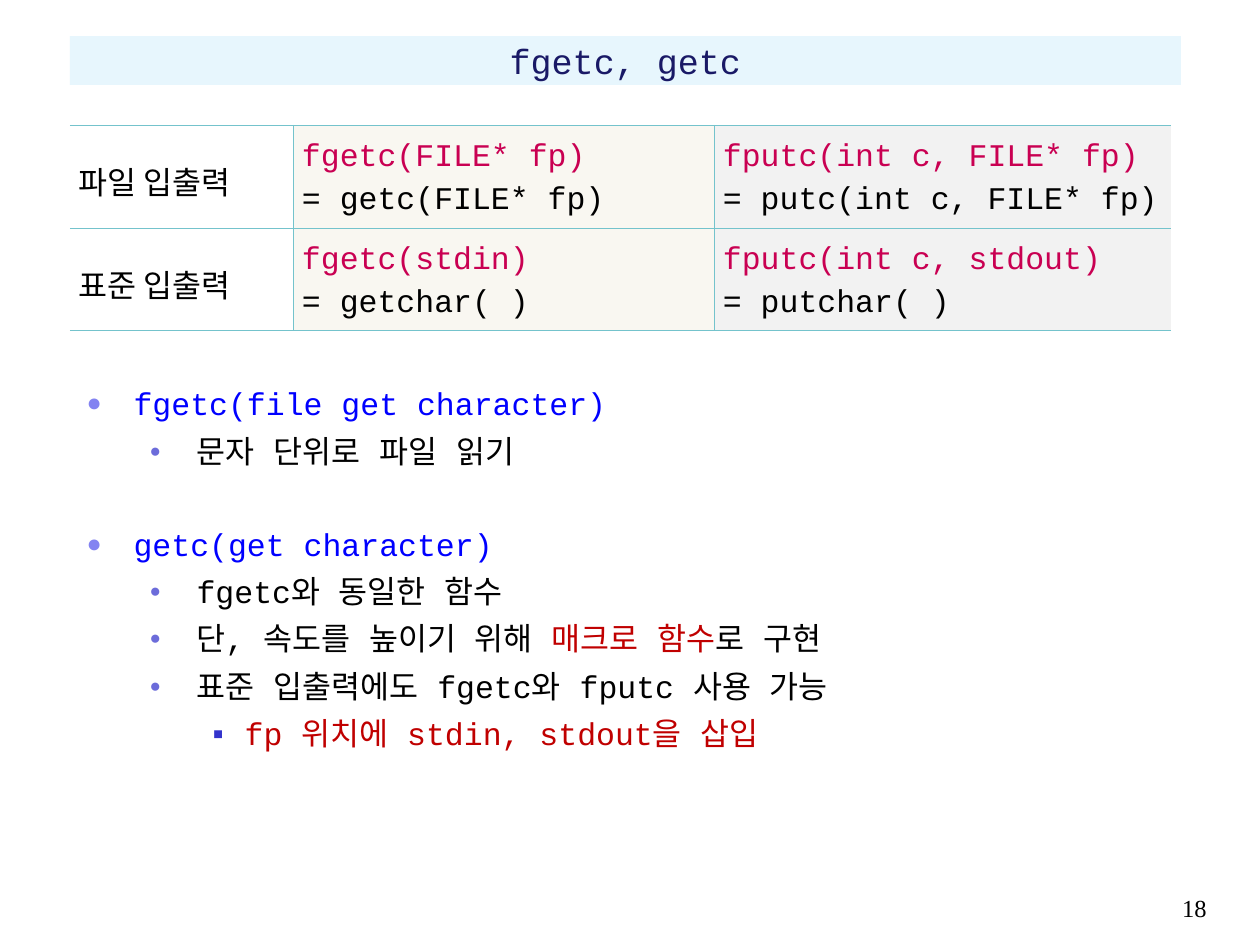
from dataclasses import dataclass

from lxml.etree import SubElement
from pptx import Presentation
from pptx.dml.color import RGBColor
from pptx.enum.text import MSO_ANCHOR, MSO_AUTO_SIZE, PP_ALIGN
from pptx.oxml.ns import qn
from pptx.util import Pt

EMU_PER_PX = 914400 / 126
CODE_FONT = "Courier New"
KOREAN_FONT = "Noto Sans CJK KR"
COLORS = {
    "band": "E7F6FD",
    "title": "191966",
    "text": "000000",
    "heading": "0000FF",
    "accent": "C00000",
    "call": "C90052",
    "border": "74C3CC",
    "input": "F9F7F1",
    "output": "F2F2F2",
}


@dataclass(frozen=True)
class Level:
    margin: int
    hanging: int
    bullet: str
    color: str
    size: int


@dataclass(frozen=True)
class Item:
    level: int
    spans: tuple[tuple[str, str], ...]
    before: float = 5.5


@dataclass(frozen=True)
class Column:
    width: int
    font: str
    fill: str | None
    colors: tuple[str, ...]
    borders: str


LEVELS = (
    Level(47, 47, "●", "8383F1", 80),
    Level(110, 47, "●", "6C6CDA", 60),
    Level(158, 32, "▪", "3333CC", 100),
)
ITEMS = (
    Item(0, (("fgetc(file get character)", "heading"),)),
    Item(1, (("문자 단위로 파일 읽기", "text"),)),
    Item(0, (("getc(get character)", "heading"),), 31.5),
    Item(1, (("fgetc와 동일한 함수", "text"),)),
    Item(1, (("단, 속도를 높이기 위해 ", "text"), ("매크로 함수", "accent"), ("로 구현", "text"))),
    Item(1, (("표준 입출력에도 fgetc와 fputc 사용 가능", "text"),)),
    Item(2, (("fp 위치에 stdin, stdout을 삽입", "accent"),)),
)
COLUMNS = (
    Column(223, KOREAN_FONT, None, ("text",), "RTB"),
    Column(421, CODE_FONT, "input", ("call", "text"), "LRTB"),
    Column(457, CODE_FONT, "output", ("call", "text"), "LTB"),
)
ROWS = (
    ("파일 입출력", "fgetc(FILE* fp)\v= getc(FILE* fp)", "fputc(int c, FILE* fp)\v= putc(int c, FILE* fp)"),
    ("표준 입출력", "fgetc(stdin)\v= getchar( )", "fputc(int c, stdout)\v= putchar( )"),
)
ROW_HEIGHT = 96


def px(length: int) -> int:
    return round(length * EMU_PER_PX)


def rgb(name: str) -> RGBColor:
    return RGBColor.from_string(COLORS[name])


def place(shape, left: int, top: int, width: int, height: int) -> None:
    shape.left, shape.top = px(left), px(top)
    shape.width, shape.height = px(width), px(height)


def format_span(span, color: str, size: int = 18, font: str = CODE_FONT) -> None:
    span.font.size = Pt(size)
    span.font.name = font
    span.font.color.rgb = rgb(color)
    SubElement(span.font._element, qn("a:ea"), typeface=font)


def draw_title(slide) -> None:
    title = slide.shapes.title
    place(title, 70, 36, 1111, 49)
    title.fill.solid()
    title.fill.fore_color.rgb = rgb("band")
    frame = title.text_frame
    frame.text = "fgetc, getc"
    frame.auto_size = MSO_AUTO_SIZE.NONE
    frame.vertical_anchor = MSO_ANCHOR.MIDDLE
    para = frame.paragraphs[0]
    para.alignment = PP_ALIGN.CENTER
    format_span(para.runs[0], "title", 20)


def set_bullet(para, level: Level) -> None:
    properties = para._p.get_or_add_pPr()
    properties.set("marL", str(px(level.margin)))
    properties.set("indent", str(-px(level.hanging)))
    color = SubElement(properties, qn("a:buClr"))
    SubElement(color, qn("a:srgbClr"), val=level.color)
    SubElement(properties, qn("a:buSzPct"), val=str(level.size * 1000))
    SubElement(properties, qn("a:buChar"), char=level.bullet)


def draw_list(slide) -> None:
    body = slide.placeholders[1]
    place(body, 74, 378, 1111, 502)
    frame = body.text_frame
    frame.auto_size = MSO_AUTO_SIZE.NONE
    for index, item in enumerate(ITEMS):
        para = frame.add_paragraph() if index else frame.paragraphs[0]
        para.level = item.level
        para.space_before = Pt(item.before)
        set_bullet(para, LEVELS[item.level])
        for text, color in item.spans:
            span = para.add_run()
            span.text = text
            format_span(span, color)


def set_borders(cell, sides: str) -> None:
    properties = cell._tc.get_or_add_tcPr()
    for side in "LRTB":
        line = SubElement(properties, qn(f"a:ln{side}"), w=str(Pt(0.11)))
        if side in sides:
            fill = SubElement(line, qn("a:solidFill"))
            SubElement(fill, qn("a:srgbClr"), val=COLORS["border"])
        else:
            SubElement(line, qn("a:noFill"))


def fill_cell(cell, text: str, column: Column) -> None:
    set_borders(cell, column.borders)
    if column.fill:
        cell.fill.solid()
        cell.fill.fore_color.rgb = rgb(column.fill)
    else:
        cell.fill.background()
    cell.vertical_anchor = MSO_ANCHOR.MIDDLE
    cell.margin_left = cell.margin_right = px(9)
    cell.margin_top = cell.margin_bottom = px(6)
    para = cell.text_frame.paragraphs[0]
    para.text = text
    para.line_spacing = 1.2
    para.space_after = Pt(8)
    for span, color in zip(para.runs, column.colors):
        format_span(span, color, font=column.font)


def draw_table(slide) -> None:
    width = sum(column.width for column in COLUMNS)
    height = ROW_HEIGHT * len(ROWS)
    frame = slide.shapes.add_table(len(ROWS), len(COLUMNS), px(70), px(125), px(width), px(height))
    table = frame.table
    table.first_row = table.horz_banding = False
    for index, column in enumerate(COLUMNS):
        table.columns[index].width = px(column.width)
        for row, texts in enumerate(ROWS):
            table.rows[row].height = px(ROW_HEIGHT)
            fill_cell(table.cell(row, index), texts[index], column)


def draw_page_number(slide) -> None:
    box = slide.shapes.add_textbox(px(1166), px(887), px(53), px(21))
    frame = box.text_frame
    frame.word_wrap = True
    frame.text = "18"
    para = frame.paragraphs[0]
    para.alignment = PP_ALIGN.RIGHT
    format_span(para.runs[0], "text", 14, "Times New Roman")


def main() -> None:
    deck = Presentation()
    deck.slide_width, deck.slide_height = px(1260), px(945)
    page = deck.slides.add_slide(deck.slide_layouts[1])
    draw_page_number(page)
    draw_title(page)
    draw_list(page)
    draw_table(page)
    deck.save("out.pptx")


if __name__ == "__main__":
    main()
